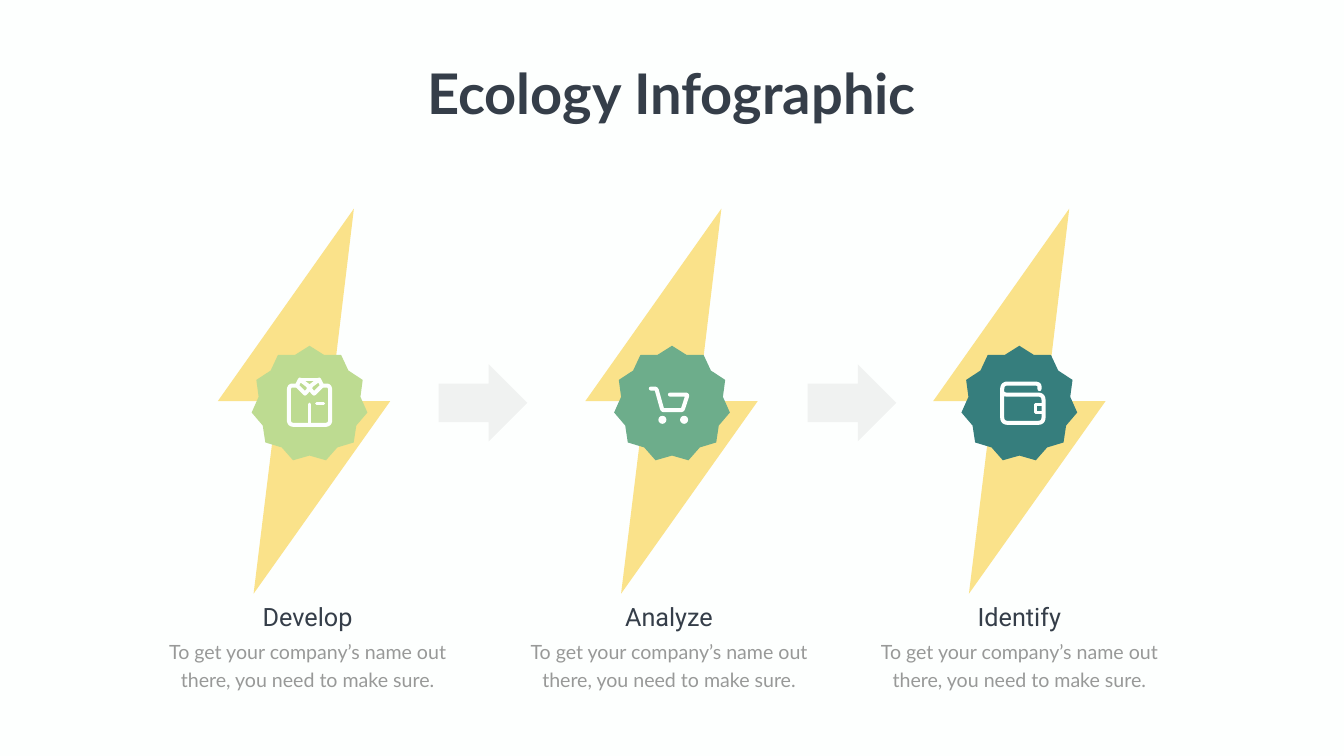
from dataclasses import dataclass
from math import cos, pi, sin

from lxml import etree
from pptx import Presentation
from pptx import util as u
from pptx.dml.color import RGBColor
from pptx.enum import shapes, text
from pptx.oxml import ns

Point = tuple[float, float]

HUES = {
    "paper": "FDFFFE", "ink": "353E49", "note": "989998", "bolt": "FAE28A",
    "lime": "BDDB91", "sage": "6DAD8B", "teal": "367E7D", "arrow": "808080",
}
BOLT = [(3.42, 3.82), (2.24, 3.82), (2.7, 0), (0, 3.82), (1.18, 3.82), (0.71, 7.64)]
TOP = 4.14
MID = 8.02
TIPS = 11
NOTE = "To get your company’s name out there, you need to make sure."


@dataclass
class Stroke:
    points: list[Point]
    width: float = 0.08
    curve: float = 0
    closed: bool = False


@dataclass
class Dot:
    x: float
    y: float
    size: float = 0.16


@dataclass
class Step:
    title: str
    hue: str
    bolt: float
    badge: float
    label: float
    icon: list[Stroke | Dot]


@dataclass
class Label:
    words: str
    left: float
    top: float
    width: float
    height: float
    size: float
    font: str
    hue: str
    bold: bool = False
    wrap: bool = True
    lead: float | None = None


COLLAR = [(-0.19, -0.49), (-0.25, -0.37), (-0.09, -0.21), (0.02, -0.33)]
SHIRT = [
    Stroke([(-0.27, -0.37), (-0.41, -0.37), (-0.41, 0.41), (0.41, 0.41),
            (0.41, -0.37), (0.27, -0.37)], curve=0.1),
    Stroke([(-0.19, -0.49), (0.19, -0.49)], 0.07),
    Stroke(COLLAR, closed=True),
    Stroke([(-x, y) for x, y in COLLAR], closed=True),
    Stroke([(0.14, -0.02), (0.28, -0.02)], 0.06),
    Stroke([(0, 0), (0, 0.41)], 0.06),
]
CART = [
    Stroke([(-0.42, -0.31), (-0.31, -0.31), (-0.19, 0.12), (0.21, 0.12),
            (0.31, -0.19), (-0.04, -0.19)], curve=0.04),
    Dot(-0.19, 0.31),
    Dot(0.24, 0.31),
]
PURSE = [
    Stroke([(0.4, -0.3), (0.4, -0.41), (-0.34, -0.41), (-0.34, 0.37), (0.48, 0.37),
            (0.48, -0.19), (-0.34, -0.19), (-0.34, -0.32)], curve=0.11),
    Stroke([(0.32, 0.01), (0.48, 0.01), (0.48, 0.16), (0.32, 0.16)], 0.06, closed=True),
]
STEPS = [
    Step("Develop", "lime", 4.32, 6.14, 3.24, SHIRT),
    Step("Analyze", "sage", 11.61, 13.33, 10.41, CART),
    Step("Identify", "teal", 18.51, 20.22, 17.36, PURSE),
]


def tint(hue: str) -> RGBColor:
    return RGBColor.from_string(HUES[hue])


def shift(points: list[Point], x: float, y: float) -> list[Point]:
    return [(x + a, y + b) for a, b in points]


def toward(a: Point, b: Point, reach: float) -> Point:
    span = ((b[0] - a[0]) ** 2 + (b[1] - a[1]) ** 2) ** 0.5
    part = min(reach / span, 0.5)
    return a[0] + (b[0] - a[0]) * part, a[1] + (b[1] - a[1]) * part


def bend(points: list[Point], reach: float) -> list[Point]:
    if not reach:
        return points
    out = [points[0]]
    for last, turn, following in zip(points, points[1:], points[2:]):
        start, end = toward(turn, last, reach), toward(turn, following, reach)
        for i in range(7):
            t = i / 6
            out.append(tuple((1 - t) ** 2 * a + 2 * t * (1 - t) * b + t * t * c
                             for a, b, c in zip(start, turn, end)))
    return out + [points[-1]]


def trace(slide, points: list[Point], closed: bool = True):
    spots = [(u.Inches(x), u.Inches(y)) for x, y in points]
    pen = slide.shapes.build_freeform(*spots[0])
    pen.add_line_segments(spots[1:], close=closed)
    shape = pen.convert_to_shape()
    shape.shadow.inherit = False
    return shape


def paint(shape, hue: str) -> None:
    shape.shadow.inherit = False
    shape.fill.solid()
    shape.fill.fore_color.rgb = tint(hue)
    shape.line.fill.background()


def draw_stroke(slide, stroke: Stroke, x: float, y: float) -> None:
    points = shift(stroke.points, x, y)
    if len(points) == 2:
        ends = [u.Inches(v) for point in points for v in point]
        shape = slide.shapes.add_connector(shapes.MSO_CONNECTOR.STRAIGHT, *ends)
    else:
        shape = trace(slide, bend(points, stroke.curve), stroke.closed)
        shape.fill.background()
    shape.line.color.rgb = tint("paper")
    shape.line.width = u.Inches(stroke.width)
    props = shape._element.spPr
    line = props.find(ns.qn("a:ln"))
    line.set("cap", "rnd")
    etree.SubElement(line, ns.qn("a:round"))
    if len(points) == 2:
        etree.SubElement(props, ns.qn("a:effectLst"))


def draw_dot(slide, dot: Dot, x: float, y: float) -> None:
    half = dot.size / 2
    paint(slide.shapes.add_shape(
        shapes.MSO_SHAPE.OVAL, u.Inches(x + dot.x - half), u.Inches(y + dot.y - half),
        u.Inches(dot.size), u.Inches(dot.size)), "paper")


def draw_label(slide, label: Label) -> None:
    box = slide.shapes.add_textbox(u.Inches(label.left), u.Inches(label.top),
                                   u.Inches(label.width), u.Inches(label.height))
    frame = box.text_frame
    frame.text = label.words
    frame.word_wrap = label.wrap
    frame.auto_size = text.MSO_AUTO_SIZE.SHAPE_TO_FIT_TEXT
    para = frame.paragraphs[0]
    para.alignment = text.PP_ALIGN.CENTER
    if label.lead:
        para.line_spacing = u.Pt(label.lead)
    font = para.runs[0].font
    font.name, font.size, font.bold = label.font, u.Pt(label.size), label.bold
    font.color.rgb = tint(label.hue)


def draw_step(slide, step: Step) -> None:
    paint(trace(slide, shift(BOLT, step.bolt, TOP)), "bolt")
    star = []
    for i in range(2 * TIPS):
        angle, size = i * pi / TIPS, (1.16, 1.02)[i % 2]
        star.append((size * sin(angle), -size * cos(angle)))
    paint(trace(slide, shift(star, step.badge, MID)), step.hue)
    for part in step.icon:
        draw = draw_dot if isinstance(part, Dot) else draw_stroke
        draw(slide, part, step.badge, MID)
    draw_label(slide, Label(NOTE, step.label, 12.54, 5.72, 1.19, 28, "Lato", "note", lead=40.8))
    draw_label(slide, Label(step.title, step.label, 11.89, 5.72, 0.71, 36, "Roboto", "ink"))


def draw_arrow(slide, left: float) -> None:
    arrow = slide.shapes.add_shape(shapes.MSO_SHAPE.RIGHT_ARROW, u.Inches(left),
                                   u.Inches(7.23), u.Inches(1.76), u.Inches(1.53))
    paint(arrow, "arrow")
    shade = arrow._element.spPr.find(ns.qn("a:solidFill"))[0]
    etree.SubElement(shade, ns.qn("a:alpha"), val="10000")


def main() -> None:
    deck = Presentation()
    deck.slide_width, deck.slide_height = u.Inches(26.66), u.Inches(15)
    slide = deck.slides.add_slide(deck.slide_layouts[6])
    slide.background.fill.solid()
    slide.background.fill.fore_color.rgb = tint("paper")
    for step in STEPS:
        draw_step(slide, step)
    for left in (8.7, 16.02):
        draw_arrow(slide, left)
    draw_label(slide, Label("Ecology Infographic", 8.27, 1.12, 10.11, 1.45, 80,
                            "Lato", "ink", bold=True, wrap=False))
    deck.save("out.pptx")


if __name__ == "__main__":
    main()
